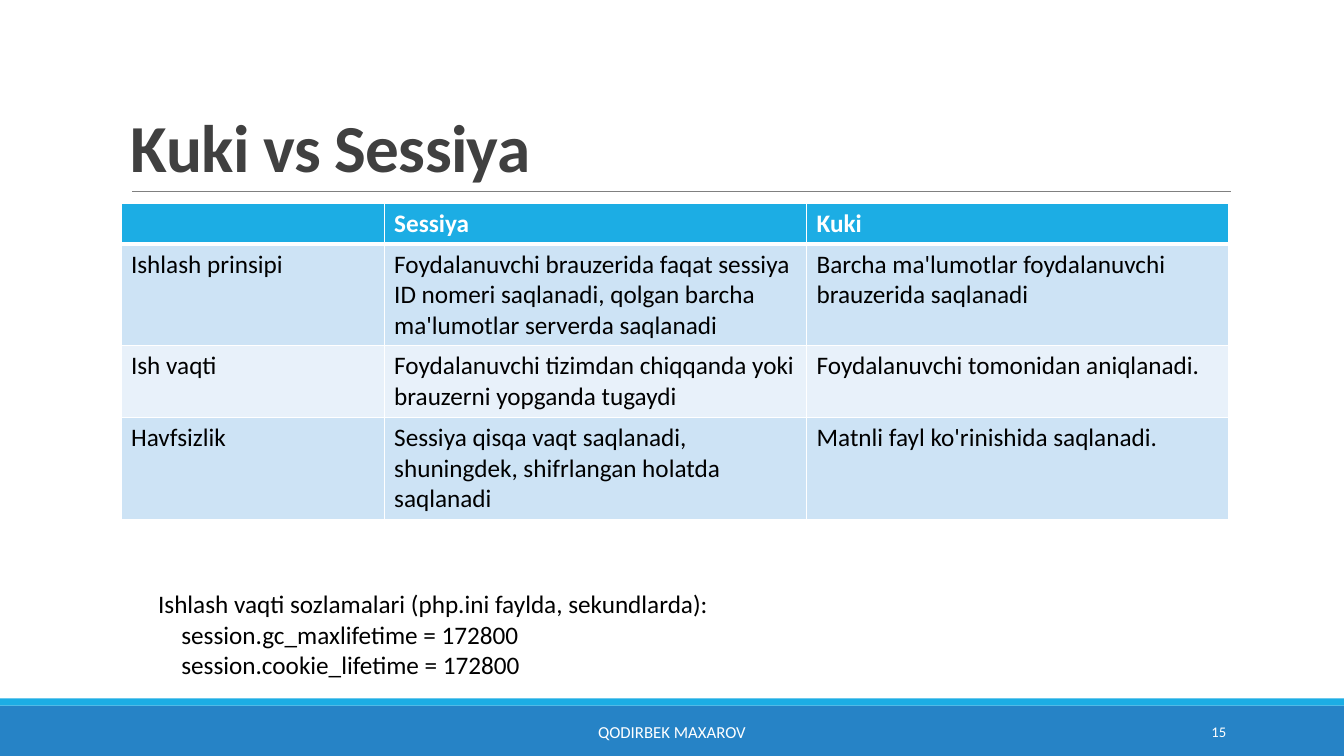
"""Build the cookie versus session comparison slide."""
from lxml.etree import SubElement as Sub
from pptx import Presentation
from pptx.dml.color import RGBColor as RGB
from pptx.enum.shapes import MSO_CONNECTOR as Conn, MSO_SHAPE as Shape
from pptx.enum.text import MSO_ANCHOR as Anchor, PP_ALIGN as Align
from pptx.oxml.ns import qn
from pptx.util import Pt

PX = 9144
WHITE = RGB(0xFF, 0xFF, 0xFF)
BLACK = RGB(0, 0, 0)
DARK = RGB(0x40, 0x40, 0x40)
GRAY = RGB(0x80, 0x80, 0x80)
BLUE = RGB(0x26, 0x83, 0xC6)
CYAN = RGB(0x1C, 0xAD, 0xE4)
PALE = RGB(0xCD, 0xE3, 0xF5)
LIGHT = RGB(0xE8, 0xF1, 0xFA)


def style(par, text, size, color, bold=False):
    run = par.add_run()
    run.text = text
    form = {"name": "Calibri", "size": Pt(size), "bold": bold}
    for key, value in form.items():
        setattr(run.font, key, value)
    run.font.color.rgb = color
    return run


def write(box, lines, size, color, anchor, align=Align.LEFT, bold=False):
    area = slide.shapes.add_textbox(*[n * PX for n in box])
    frame = area.text_frame
    frame.word_wrap = True
    frame.vertical_anchor = anchor
    for i, line in enumerate(lines):
        par = frame.add_paragraph() if i else frame.paragraphs[0]
        par.alignment = align
        style(par, line, size, color, bold)
    return frame.paragraphs


prs = Presentation()
prs.slide_width, prs.slide_height = 1333 * PX, 750 * PX
slide = prs.slides.add_slide(prs.slide_layouts[6])

for top, high, color in [(700, 50, BLUE), (693, 7, CYAN)]:
    band = slide.shapes.add_shape(Shape.RECTANGLE, 0, top * PX, 1333 * PX, high * PX)
    band.shadow.inherit = False
    band.fill.solid()
    band.fill.fore_color.rgb = color
    band.line.fill.background()

rule = slide.shapes.add_connector(Conn.STRAIGHT, 131 * PX, 190 * PX, 1221 * PX, 190 * PX)
rule.line.color.rgb = GRAY
rule.line.width = Pt(0.5)
Sub(rule.element.spPr, qn("a:effectLst"))

title = write((120, 31, 1100, 159), ["Kuki vs Sessiya"], 48, DARK, Anchor.BOTTOM, bold=True)[0]
title.line_spacing = 0.85
title.runs[0].font._element.set("spc", "-50")

rows = [
    ("", "Sessiya", "Kuki"),
    ("Ishlash prinsipi",
     "Foydalanuvchi brauzerida faqat sessiya ID nomeri saqlanadi, qolgan barcha ma'lumotlar serverda saqlanadi",
     "Barcha ma'lumotlar foydalanuvchi brauzerida saqlanadi"),
    ("Ish vaqti",
     "Foydalanuvchi tizimdan chiqqanda yoki brauzerni yopganda tugaydi",
     "Foydalanuvchi tomonidan aniqlanadi."),
    ("Havfsizlik",
     "Sessiya qisqa vaqt saqlanadi, shuningdek, shifrlangan holatda saqlanadi",
     "Matnli fayl ko'rinishida saqlanadi."),
]
fills = [CYAN, PALE, LIGHT, PALE]
grid = slide.shapes.add_table(4, 3, 120 * PX, 202 * PX, 1100 * PX, 311 * PX).table
for col, wide in zip(grid.columns, [261, 419, 419]):
    col.width = wide * PX
for row, high in zip(grid.rows, [40, 101, 71, 101]):
    row.height = high * PX
for r, row in enumerate(rows):
    for c, text in enumerate(row):
        cell = grid.cell(r, c)
        props = cell._tc.get_or_add_tcPr()
        for side in "LRTB":
            thick = (r, side) in [(0, "B"), (1, "T")]
            edge = Sub(props, qn(f"a:ln{side}"), w=str(Pt(3 if thick else 1)))
            Sub(Sub(edge, qn("a:solidFill")), qn("a:srgbClr"), val=str(WHITE))
        cell.fill.solid()
        cell.fill.fore_color.rgb = fills[r]
        if text:
            style(cell.text_frame.paragraphs[0], text, 18, BLACK if r else WHITE, r == 0)

write((403, 706, 527, 40), ["QODIRBEK MAXAROV"], 12, WHITE, Anchor.MIDDLE, Align.CENTER)
write((1083, 706, 143, 40), ["15"], 10.5, WHITE, Anchor.MIDDLE, Align.RIGHT)

notes = [
    "Ishlash vaqti sozlamalari (php.ini faylda, sekundlarda):",
    "session.gc_maxlifetime = 172800",
    "session.cookie_lifetime = 172800",
]
for par in write((147, 579, 667, 101), notes, 18, BLACK, Anchor.TOP)[1:]:
    par._p.get_or_add_pPr().set("marL", str(23 * PX))

prs.save("out.pptx")
